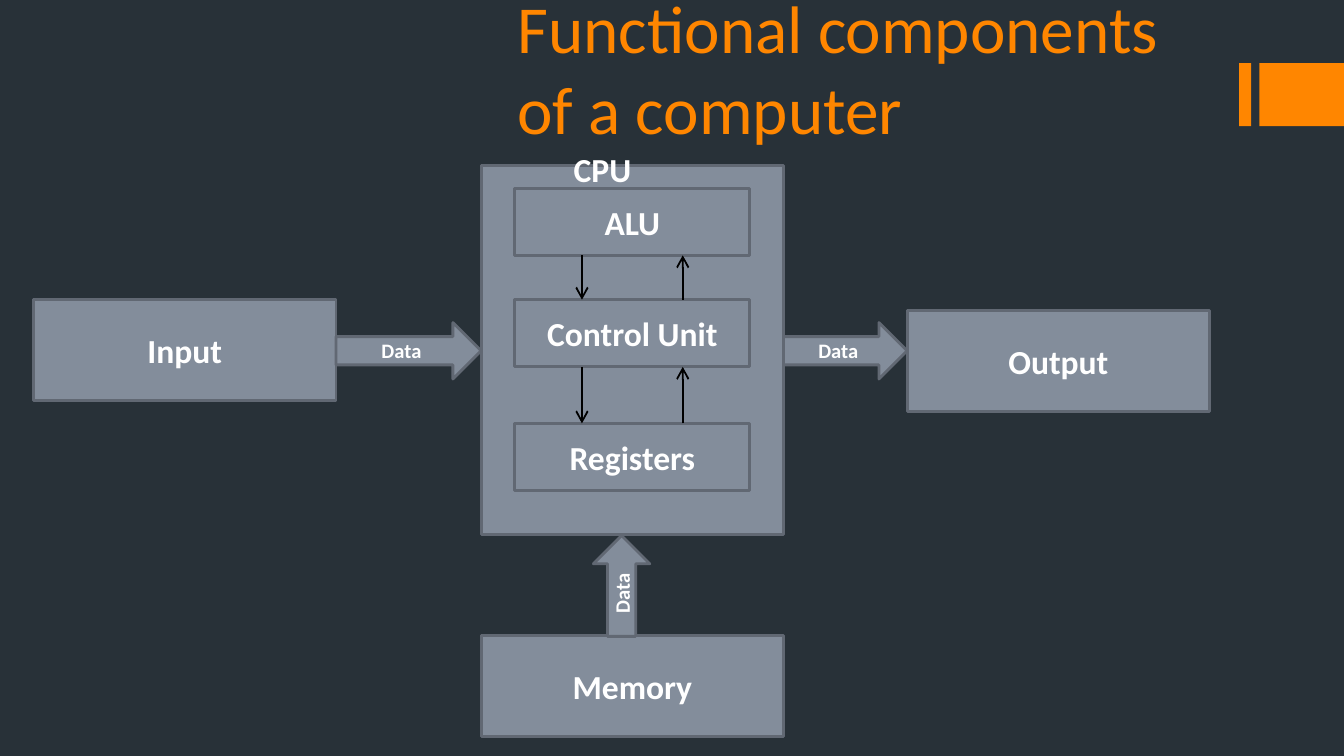
from typing import NamedTuple

from lxml import etree
from pptx import Presentation
from pptx import util as u
from pptx.dml.color import RGBColor
from pptx.enum import shapes, text
from pptx.oxml import ns

PAGE_WIDTH = 10
PAGE_HEIGHT = PAGE_WIDTH * 9 / 16
FONT = "Calibri"
ORANGE, GREY, EDGE = "FF8600", "838D9B", "616873"
WHITE, BLACK, DARK = "FFFFFF", "000000", "283138"
RECT = shapes.MSO_SHAPE.RECTANGLE
ARROW = shapes.MSO_SHAPE.RIGHT_ARROW


class Block(NamedTuple):
    left: float
    top: float
    width: float
    height: float
    label: str = ""
    kind: shapes.MSO_SHAPE = RECT
    size: int = 18
    rotation: int = 0


class Flow(NamedTuple):
    x: float
    start: float
    end: float


def paint(color_format, value: str) -> None:
    color_format.rgb = RGBColor.from_string(value)


def write(frame, words: str, *, size: float = 18, color: str = WHITE,
          bold: bool = True, align=text.PP_ALIGN.CENTER,
          anchor=text.MSO_ANCHOR.MIDDLE) -> None:
    frame.word_wrap = True
    frame.vertical_anchor = anchor
    para = frame.paragraphs[0]
    para.alignment = align
    span = para.add_run()
    span.text = words
    span.font.name, span.font.size, span.font.bold = FONT, u.Pt(size), bold
    paint(span.font.color, color)


def draw_block(page, block: Block, fill: str = GREY, edge: str = EDGE) -> None:
    box = page.shapes.add_shape(block.kind, *map(u.Inches, block[:4]))
    box.rotation = block.rotation
    box.shadow.inherit = False
    box.fill.solid()
    paint(box.fill.fore_color, fill)
    if edge:
        box.line.width = u.Pt(1.5)
        paint(box.line.color, edge)
    else:
        box.line.fill.background()
    if block.label:
        write(box.text_frame, block.label, size=block.size)


def draw_flow(page, flow: Flow) -> None:
    x = u.Inches(flow.x)
    line = page.shapes.add_connector(shapes.MSO_CONNECTOR.STRAIGHT, x,
                                     u.Inches(flow.start), x, u.Inches(flow.end))
    line.line.width = u.Pt(1)
    paint(line.line.color, BLACK)
    outline = line._element.spPr.find(ns.qn("a:ln"))
    etree.SubElement(outline, ns.qn("a:tailEnd"), type="arrow")
    etree.SubElement(line._element.spPr, ns.qn("a:effectLst"))


# Geometry shared by the diagram's parts
CPU_LEFT, CPU_TOP, CPU_HEIGHT = 3.58, 1.23, 2.75
UNIT_LEFT, UNIT_WIDTH, UNIT_HEIGHT = 3.83, 1.75, 0.5
BOX_WIDTH, BOX_HEIGHT = 2.25, 0.75
INPUT_LEFT, OUTPUT_LEFT = 0.25, 6.75
ARROW_TOP, ARROW_HEIGHT = 2.4, 0.42
DOWN_X, UP_X = 4.33, 5.08
INPUT_RIGHT, CPU_RIGHT = INPUT_LEFT + BOX_WIDTH, CPU_LEFT + BOX_WIDTH
UNITS = {"ALU": 1.4, "Control Unit": 2.23, "Registers": 3.15}

BLOCKS = [
    Block(INPUT_LEFT, 2.23, BOX_WIDTH, BOX_HEIGHT, "Input"),
    Block(OUTPUT_LEFT, 2.31, BOX_WIDTH, BOX_HEIGHT, "Output"),
    Block(CPU_LEFT, CPU_TOP, BOX_WIDTH, CPU_HEIGHT),
    *(Block(UNIT_LEFT, top, UNIT_WIDTH, UNIT_HEIGHT, name)
      for name, top in UNITS.items()),
    Block(CPU_LEFT, 4.73, BOX_WIDTH, BOX_HEIGHT, "Memory"),
    Block(INPUT_RIGHT, ARROW_TOP, CPU_LEFT - INPUT_RIGHT, ARROW_HEIGHT,
          "Data", ARROW, 11),
    Block(CPU_RIGHT, ARROW_TOP, OUTPUT_LEFT - CPU_RIGHT, ARROW_HEIGHT,
          "Data", ARROW, 11),
    Block(4.25, 4.15, 0.75, ARROW_HEIGHT, "Data", ARROW, 11, 270),
]


def main() -> None:
    deck = Presentation()
    deck.slide_width = u.Inches(PAGE_WIDTH)
    deck.slide_height = u.Inches(PAGE_HEIGHT)
    page = deck.slides.add_slide(deck.slide_layouts[5])
    page.background.fill.solid()
    paint(page.background.fill.fore_color, DARK)

    # Accent bars at the right edge
    for left, width in ((9.22, 0.09), (9.37, 0.63)):
        draw_block(page, Block(left, 0.47, width, 0.47), fill=ORANGE, edge="")

    # Title
    title = page.shapes.title
    title.left, title.top = u.Inches(3.75), u.Inches(0.15)
    title.width, title.height = u.Inches(5.25), u.Inches(1)
    write(title.text_frame, "Functional components of a computer", size=36,
          color=ORANGE, bold=False, align=text.PP_ALIGN.LEFT,
          anchor=text.MSO_ANCHOR.BOTTOM)
    title.text_frame.auto_size = text.MSO_AUTO_SIZE.NONE

    # Components and data arrows
    for block in BLOCKS:
        draw_block(page, block)

    # Two-way flows between neighbouring units
    tops = list(UNITS.values())
    for upper, lower in zip(tops, tops[1:]):
        draw_flow(page, Flow(DOWN_X, upper + UNIT_HEIGHT, lower))
        draw_flow(page, Flow(UP_X, lower, upper + UNIT_HEIGHT))

    # CPU caption
    caption = page.shapes.add_textbox(*map(u.Inches, (4.17, 1.06, 0.83, 0.4)))
    write(caption.text_frame, "CPU", align=text.PP_ALIGN.LEFT,
          anchor=text.MSO_ANCHOR.TOP)
    caption.text_frame.auto_size = text.MSO_AUTO_SIZE.SHAPE_TO_FIT_TEXT

    deck.save("out.pptx")


if __name__ == "__main__":
    main()
